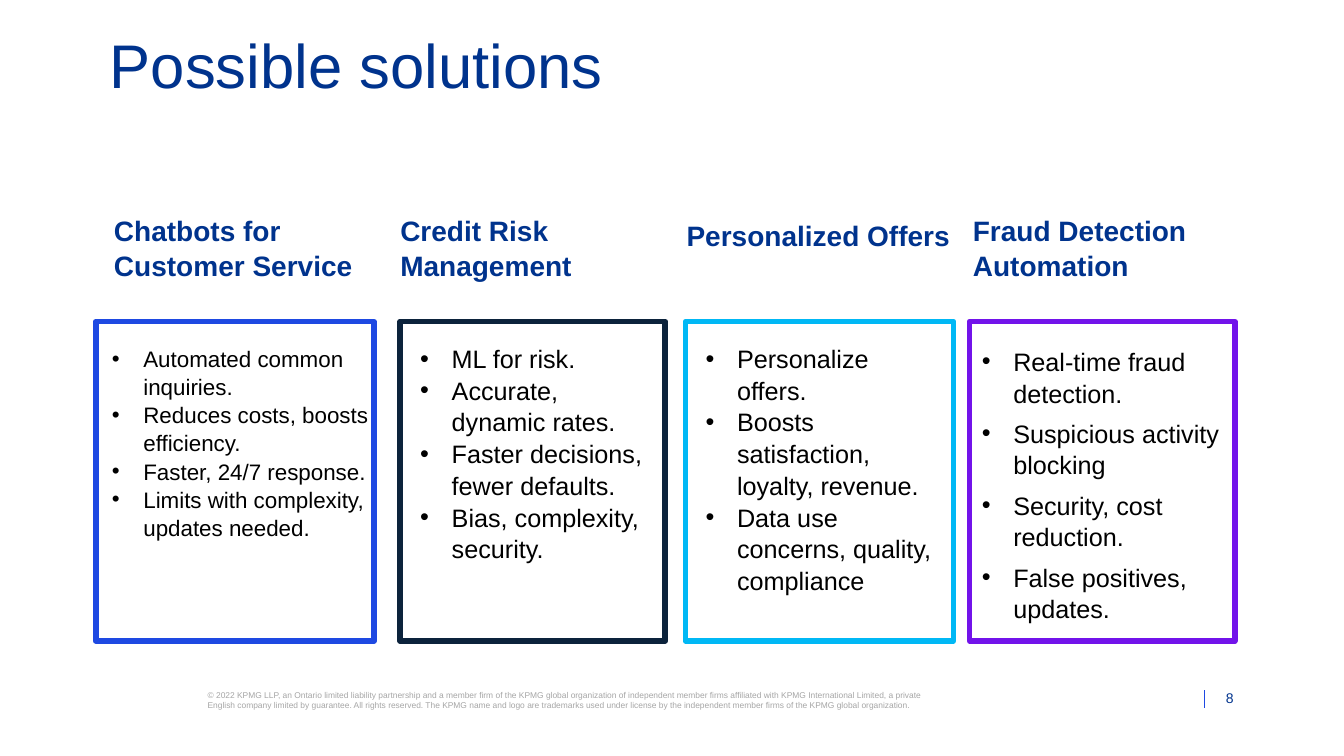
from lxml import etree
from pptx import Presentation
from pptx.dml.color import RGBColor
from pptx.enum.shapes import MSO_CONNECTOR, MSO_SHAPE
from pptx.enum.text import MSO_ANCHOR, PP_ALIGN
from pptx.oxml.ns import qn
from pptx.util import Pt

RECT = MSO_SHAPE.RECTANGLE
STRAIGHT = MSO_CONNECTOR.STRAIGHT
TOP, BOTTOM = MSO_ANCHOR.TOP, MSO_ANCHOR.BOTTOM
LEFT, RIGHT = PP_ALIGN.LEFT, PP_ALIGN.RIGHT

NAVY = RGBColor(0x00, 0x33, 0x8D)
COBALT = RGBColor(0x1E, 0x49, 0xE2)
DARK = RGBColor(0x0C, 0x23, 0x3C)
SKY = RGBColor(0x00, 0xB8, 0xF5)
PURPLE = RGBColor(0x72, 0x13, 0xEA)
GREY = RGBColor(0xA6, 0xA6, 0xA6)
BLACK = RGBColor(0, 0, 0)

HEADING_LEFT, HEADING_STEP, HEADING_WIDTH = 81.4, 204.5, 189.5
BOX_TOP, BOX_HEIGHT = 229.7, 228.2
INDENT = 22.5

COPYRIGHT = (
    "© 2022 KPMG LLP, an Ontario limited liability partnership and a member firm "
    "of the KPMG global organization of independent member firms affiliated with "
    "KPMG International Limited, a private English company limited by guarantee. "
    "All rights reserved. The KPMG name and logo are trademarks used under license "
    "by the independent member firms of the KPMG global organization."
)

SOLUTIONS = [
    {
        "heading": "Chatbots for Customer Service", "color": COBALT,
        "box": (68.4, 198.7), "list": (79.9, 245.5, 186.5, 154.8), "size": 16,
        "items": ["Automated common inquiries.", "Reduces costs, boosts efficiency.",
                  "Faster, 24/7 response.", "Limits with complexity, updates needed."],
    },
    {
        "heading": "Credit Risk Management", "color": DARK, "box": (285.8, 189.4),
        "items": ["ML for risk.", "Accurate, dynamic rates.",
                  "Faster decisions, fewer defaults.", "Bias, complexity, security."],
    },
    {
        "heading": "Personalized Offers", "color": SKY, "box": (489.6, 191.5),
        "heading_format": {"line_spacing": 1.2, "space_after": Pt(6)},
        "items": ["Personalize offers.", "Boosts satisfaction, loyalty, revenue.",
                  "Data use concerns, quality, compliance"],
    },
    {
        "heading": "Fraud Detection Automation", "color": PURPLE,
        "box": (692.6, 189.4), "list": (701.3, 246.2, 175.7, 200), "after": 6,
        "items": ["Real-time fraud detection.", "Suspicious activity blocking",
                  "Security, cost reduction.", "False positives, updates."],
    },
]


class Deck:
    font = "Arial"
    spacing = 1.05

    def __init__(self, width, height):
        self.prs = Presentation()
        self.prs.slide_width, self.prs.slide_height = Pt(width), Pt(height)
        self.s = self.prs.slides.add_slide(self.prs.slide_layouts[6])

    def apply(self, target, values):
        for name, value in values.items():
            setattr(target, name, value)

    def frame(self, sp, inset=0, anchor=TOP):
        tf = sp.text_frame
        sides = ("margin_left", "margin_top", "margin_right", "margin_bottom")
        self.apply(tf, {side: Pt(inset) for side in sides})
        self.apply(tf, {"word_wrap": True, "vertical_anchor": anchor})
        return tf

    def fill_paragraph(self, p, text, size, color, bold=False, **layout):
        defaults = {"alignment": LEFT, "line_spacing": self.spacing}
        self.apply(p, {**defaults, **layout})
        r = p.add_run()
        r.text = text
        self.apply(r.font, {"name": self.font, "size": Pt(size), "bold": bold})
        r.font.color.rgb = color

    def text(self, at, text, size, color, bold=False, anchor=TOP, **layout):
        sp = self.s.shapes.add_textbox(*map(Pt, at))
        tf = self.frame(sp, anchor=anchor)
        self.fill_paragraph(tf.paragraphs[0], text, size, color, bold, **layout)

    def box(self, at, color, weight=4):
        sp = self.s.shapes.add_shape(RECT, *map(Pt, at))
        sp.shadow.inherit = False
        sp.fill.background()
        sp.line.color.rgb = color
        sp.line.width = Pt(weight)
        return sp

    def bullets(self, tf, items, size=18, after=0):
        for i, item in enumerate(items):
            p = tf.add_paragraph() if i else tf.paragraphs[0]
            pPr = p._p.get_or_add_pPr()
            pPr.set("marL", str(Pt(INDENT)))
            pPr.set("indent", str(-Pt(INDENT)))
            etree.SubElement(pPr, qn("a:buFont")).set("typeface", self.font)
            etree.SubElement(pPr, qn("a:buChar")).set("char", "•")
            self.fill_paragraph(p, item, size, BLACK, space_after=Pt(after))

    def line(self, start, end, color, weight):
        sp = self.s.shapes.add_connector(STRAIGHT, *map(Pt, start + end))
        sp.line.color.rgb = color
        sp.line.width = Pt(weight)
        etree.SubElement(sp._element.spPr, qn("a:effectLst"))

    def solution(self, index, column):
        left, width = column["box"]
        sp = self.box((left, BOX_TOP, width, BOX_HEIGHT), column["color"])
        inset = 14.4
        if "list" in column:
            sp = self.s.shapes.add_textbox(*map(Pt, column["list"]))
            inset = 0
        self.bullets(self.frame(sp, inset), column["items"],
                     column.get("size", 18), column.get("after", 0))
        heading_at = (HEADING_LEFT + index * HEADING_STEP, 151.2, HEADING_WIDTH, 75)
        self.text(heading_at, column["heading"], 20, NAVY, True,
                  **column.get("heading_format", {}))


def main():
    deck = Deck(960, 540)
    deck.text((78.5, 33.8, 803.5, 41.8), "Possible solutions", 44, NAVY,
              line_spacing=0.7)
    for index, column in enumerate(SOLUTIONS):
        deck.solution(index, column)
    deck.text((148.3, 493.2, 516.2, 14.4), COPYRIGHT, 6, GREY, line_spacing=1.0)
    deck.line((860.4, 493.2), (860.4, 505.4), COBALT, 0.5)
    deck.text((861.8, 493.2, 19.4, 11.5), "8", 10, NAVY, anchor=BOTTOM,
              alignment=RIGHT, line_spacing=1.0)
    deck.prs.save("out.pptx")


if __name__ == "__main__":
    main()
